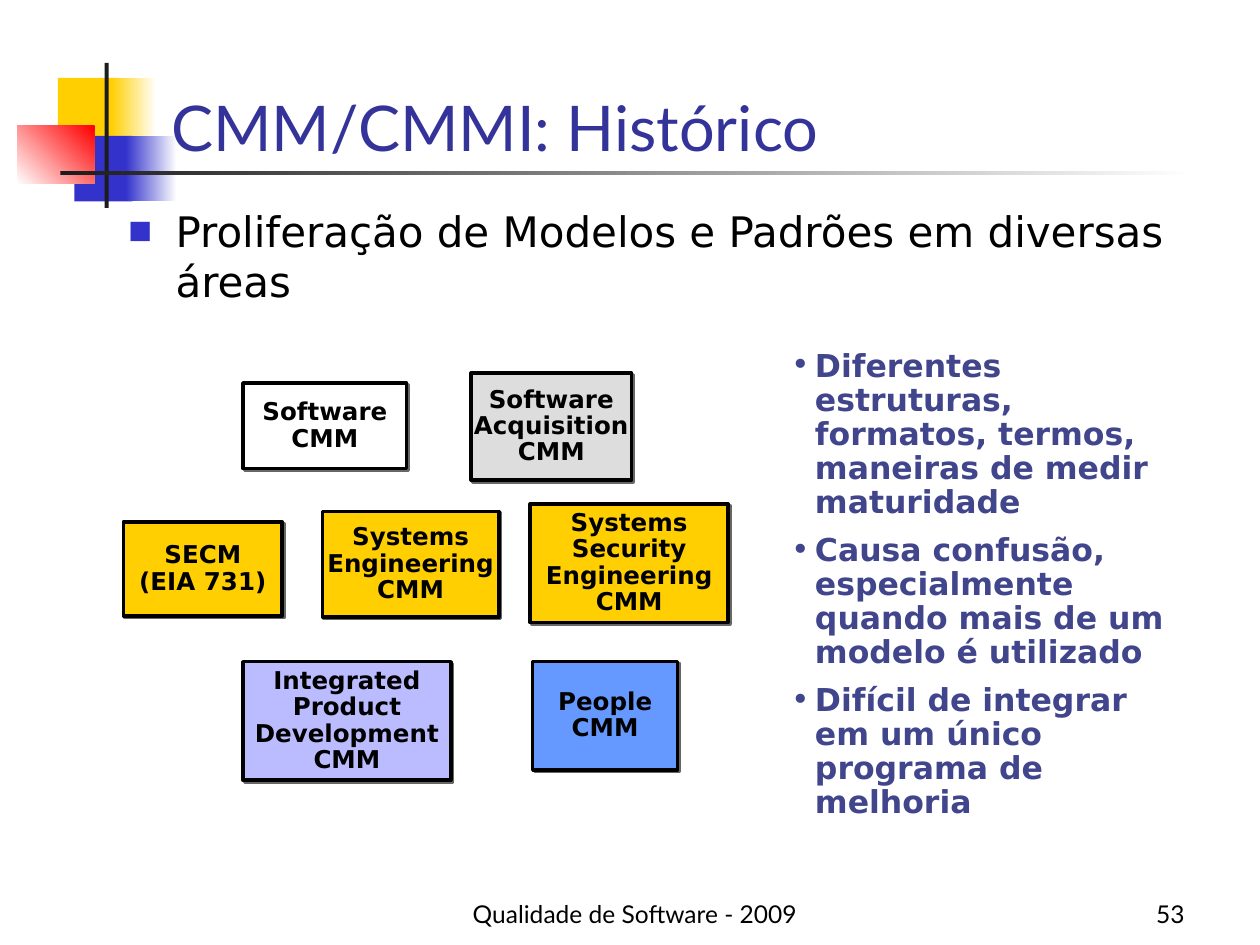
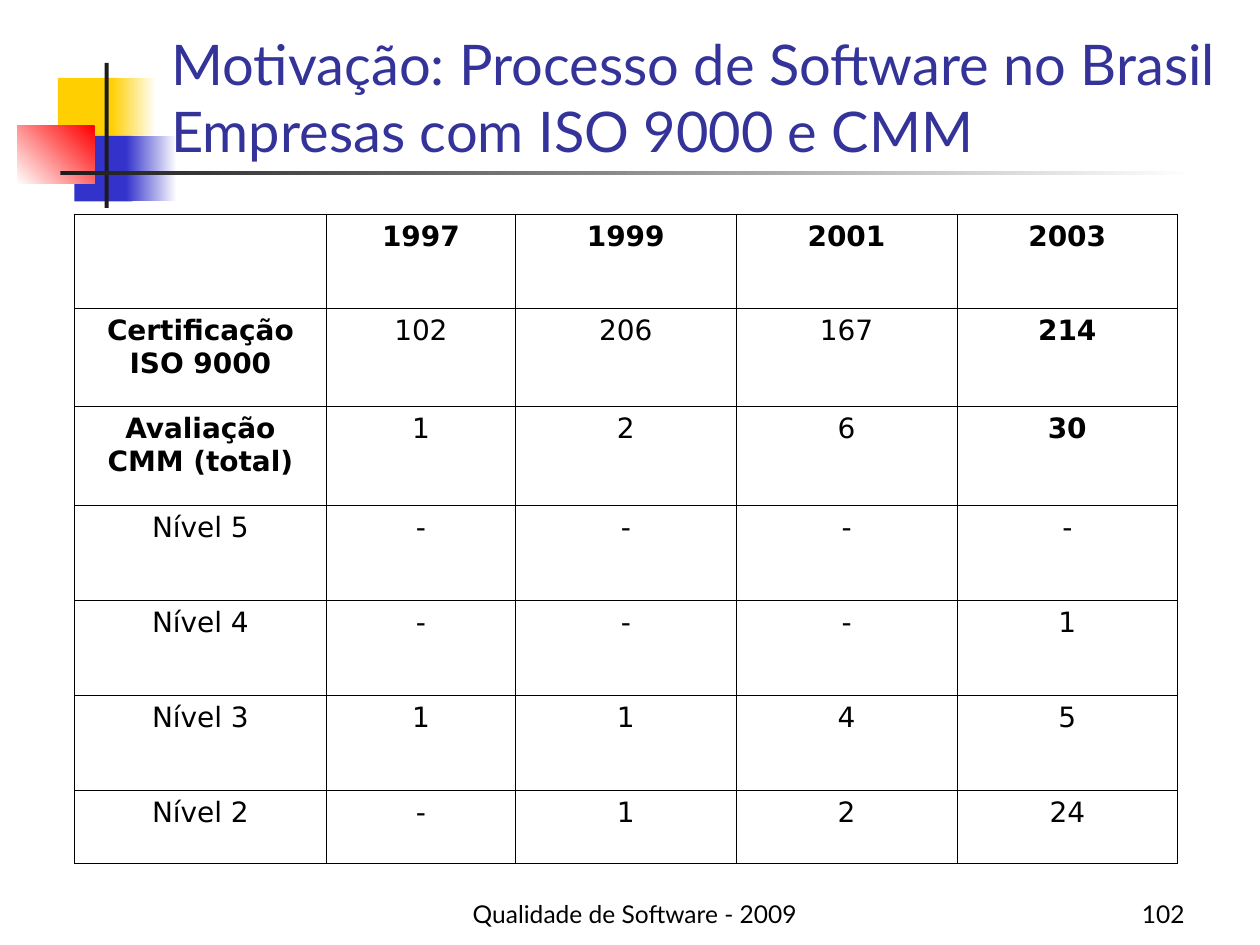
from lxml import etree
from pptx import Presentation
from pptx.dml.color import RGBColor
from pptx.enum.shapes import MSO_SHAPE as Shape
from pptx.enum.text import MSO_ANCHOR as Anchor, MSO_AUTO_SIZE as AutoSize, PP_ALIGN as Align
from pptx.oxml import parse_xml
from pptx.oxml.ns import nsdecls, qn
from pptx.util import Cm, Pt

COLORS = {
    "black": "000000", "white": "FFFFFF", "ink": "1C1C1C",
    "yellow": "FFCF01", "blue": "3333CC", "red": "FF0000",
    "title": "333399", "remark": "40458C", "shadow": "676767",
    "gray": "DDDDDD", "lilac": "BBBBFF", "sky": "6699FF",
}
HEADING_FONT = "Lato"
BODY_FONT = "DejaVu Sans"
FOOTER = "Qualidade de Software - 2009"
TITLE_BOX = (3.2, 0.53, 21.64, 2.9)

# left, top, width, height, start colour, end colour, angle
BAND = [
    (1.17, 1.57, 1.22, 1.32, "yellow", None, 0),
    (2.24, 1.57, 0.91, 1.32, "yellow", "white", 0),
    (1.5, 2.74, 1.17, 1.32, "blue", None, 0),
    (2.54, 2.74, 1.02, 1.32, "blue", "white", 0),
    (0.35, 2.54, 1.55, 1.17, "white", "red", 45),
    (2.11, 1.27, 0.08, 2.92, "ink", None, 0),
    (1.22, 3.45, 22.86, 0.08, "ink", "white", 0),
]

# left and top within the diagram, width, height, fill, lines
MODELS = [
    (2.41, 0.2, 3.3, 1.73, "white", "Software\nCMM"),
    (7.01, 0, 3.23, 2.16, "gray", "Software\nAcquisition\nCMM"),
    (0, 3, 3.2, 1.9, "yellow", "SECM\n(EIA 731)"),
    (4.01, 2.79, 3.56, 2.13, "yellow", "Systems\nEngineering\nCMM"),
    (8.2, 2.64, 3.99, 2.39, "yellow", "Systems\nSecurity\nEngineering\nCMM"),
    (2.41, 5.82, 4.19, 2.39, "lilac", "Integrated\nProduct\nDevelopment\nCMM"),
    (8.25, 5.82, 2.92, 2.18, "sky", "People\nCMM"),
]
REMARKS = [
    "Diferentes estruturas, formatos, termos, maneiras de medir maturidade",
    "Causa confusão, especialmente quando mais de um modelo é utilizado",
    "Difícil de integrar em um único programa de melhoria",
]

COMPANIES = [
    ("", "1997", "1999", "2001", "2003"),
    ("Certificação ISO 9000", "102", "206", "167", "214"),
    ("Avaliação CMM (total)", "1", "2", "6", "30"),
    ("Nível 5", "-", "-", "-", "-"),
    ("Nível 4", "-", "-", "-", "1"),
    ("Nível 3", "1", "1", "4", "5"),
    ("Nível 2", "-", "1", "2", "24"),
]
COLUMN_WIDTHS = (5.08, 3.81, 4.45, 4.45, 4.45)
ROW_HEIGHTS = (1.9, 1.98, 1.98, 1.93, 1.9, 1.93, 1.47)


def rgb(name):
    return RGBColor.from_string(COLORS[name])


def cm_box(*lengths):
    return [Cm(length) for length in lengths]


def style(paragraph, size, color="black", font=BODY_FONT, bold=False, align=Align.LEFT):
    paragraph.alignment = align
    paragraph.font.size = Pt(size)
    paragraph.font.name = font
    paragraph.font.bold = bold
    paragraph.font.color.rgb = rgb(color)


def add_bullet(paragraph, char, color, indent, percent=100):
    """Give the paragraph a hanging bullet; call before setting its font."""
    props = paragraph._p.get_or_add_pPr()
    props.set("marL", str(Cm(indent)))
    props.set("indent", str(-Cm(indent)))
    bullet_color = etree.SubElement(props, qn("a:buClr"))
    etree.SubElement(bullet_color, qn("a:srgbClr"), val=COLORS[color])
    etree.SubElement(props, qn("a:buSzPct"), val=str(percent * 1000))
    etree.SubElement(props, qn("a:buFont"), typeface=BODY_FONT)
    etree.SubElement(props, qn("a:buChar"), char=char)


def add_text(slide, box, text, anchor=Anchor.TOP):
    frame = slide.shapes.add_textbox(*cm_box(*box)).text_frame
    frame.word_wrap = True
    frame.vertical_anchor = anchor
    frame.text = text
    return frame.paragraphs


def add_band(slide):
    for *box, start, end, angle in BAND:
        piece = slide.shapes.add_shape(Shape.RECTANGLE, *cm_box(*box))
        piece.shadow.inherit = False
        piece.line.fill.background()
        if end is None:
            piece.fill.solid()
            piece.fill.fore_color.rgb = rgb(start)
            continue
        piece.fill.gradient()
        piece.fill.gradient_angle = angle
        for stop, color in zip(piece.fill.gradient_stops, (start, end)):
            stop.color.rgb = rgb(color)


def add_footer(slide, number):
    for left, width, text, align in [(4.7, 16.2, FOOTER, Align.CENTER),
                                     (21.51, 2.62, number, Align.RIGHT)]:
        line, = add_text(slide, (left, 17.58, width, 1.27), text, Anchor.BOTTOM)
        style(line, 14, font=HEADING_FONT, align=align)


def new_slide(deck, title_text, title_size, number):
    """Add a slide with the shared band, title and footer."""
    slide = deck.slides.add_slide(deck.slide_layouts[5])
    add_band(slide)
    add_footer(slide, number)
    title = slide.shapes.title
    title.left, title.top, title.width, title.height = cm_box(*TITLE_BOX)
    frame = title.text_frame
    frame.text = title_text
    frame.auto_size = AutoSize.NONE
    frame.vertical_anchor = Anchor.BOTTOM
    style(frame.paragraphs[0], title_size, "title", HEADING_FONT)
    slide.shapes._spTree.append(title._element)  # title in front of the band
    return slide


def add_hard_shadow(shape):
    shape.shadow.inherit = False
    effects = shape._element.spPr.find(qn("a:effectLst"))
    effects.append(parse_xml(
        f'<a:outerShdw {nsdecls("a")} dist="{Pt(1.4)}" dir="2700000" algn="ctr" rotWithShape="0">'
        f'<a:srgbClr val="{COLORS["shadow"]}"/></a:outerShdw>'))


def add_models(slide, left, top):
    for x, y, width, height, color, label in MODELS:
        model = slide.shapes.add_shape(
            Shape.RECTANGLE, *cm_box(left + x, top + y, width, height))
        model.fill.solid()
        model.fill.fore_color.rgb = rgb(color)
        model.line.color.rgb = rgb("black")
        model.line.width = Pt(2)
        add_hard_shadow(model)
        frame = model.text_frame
        frame.word_wrap = False
        frame.vertical_anchor = Anchor.MIDDLE
        frame.text = label
        for line in frame.paragraphs:
            style(line, 14, bold=True, align=Align.CENTER)
            line.line_spacing = 0.9


def add_remarks(slide, box):
    for remark in add_text(slide, box, "\n".join(REMARKS)):
        add_bullet(remark, "•", "remark", 0.48)
        style(remark, 18, "remark", bold=True)
        remark.line_spacing = 0.9
        remark.space_after = Pt(8)


def set_borders(cell):
    props = cell._tc.get_or_add_tcPr()
    for side in ("lnL", "lnR", "lnT", "lnB"):
        props.append(parse_xml(
            f'<a:{side} {nsdecls("a")} w="{Pt(0.45)}"><a:solidFill>'
            f'<a:srgbClr val="{COLORS["black"]}"/></a:solidFill></a:{side}>'))


def add_company_table(slide, left, top):
    table = slide.shapes.add_table(
        len(ROW_HEIGHTS), len(COLUMN_WIDTHS),
        *cm_box(left, top, sum(COLUMN_WIDTHS), sum(ROW_HEIGHTS))).table
    table.first_row = table.horz_banding = False
    for column, width in zip(table.columns, COLUMN_WIDTHS):
        column.width = Cm(width)
    for row, height in zip(table.rows, ROW_HEIGHTS):
        row.height = Cm(height)
    last = len(COLUMN_WIDTHS) - 1
    for r, values in enumerate(COMPANIES):
        for c, value in enumerate(values):
            cell = table.cell(r, c)
            set_borders(cell)
            cell.fill.background()
            cell.text = value
            bold = r == 0 or r < 3 and c in (0, last)
            style(cell.text_frame.paragraphs[0], 16, bold=bold, align=Align.CENTER)


def build_history(deck):
    slide = new_slide(deck, "CMM/CMMI: Histórico", 36, "53")
    add_models(slide, 2.49, 7.52)
    add_remarks(slide, (15.7, 6.93, 8.26, 8.36))
    topic, = add_text(slide, (2.34, 4.01, 22.56, 2.5),
                      "Proliferação de Modelos e Padrões em diversas áreas")
    add_bullet(topic, "■", "blue", 0.95, 60)
    style(topic, 24)


def build_motivation(deck):
    slide = new_slide(deck, "Motivação: Processo de Software no Brasil\v"
                            "Empresas com ISO 9000 e CMM", 32, "102")
    add_company_table(slide, 1.5, 4.32)


def main():
    deck = Presentation()
    deck.slide_width, deck.slide_height = cm_box(25.4, 19.05)
    build_history(deck)
    build_motivation(deck)
    deck.save("out.pptx")


if __name__ == "__main__":
    main()
